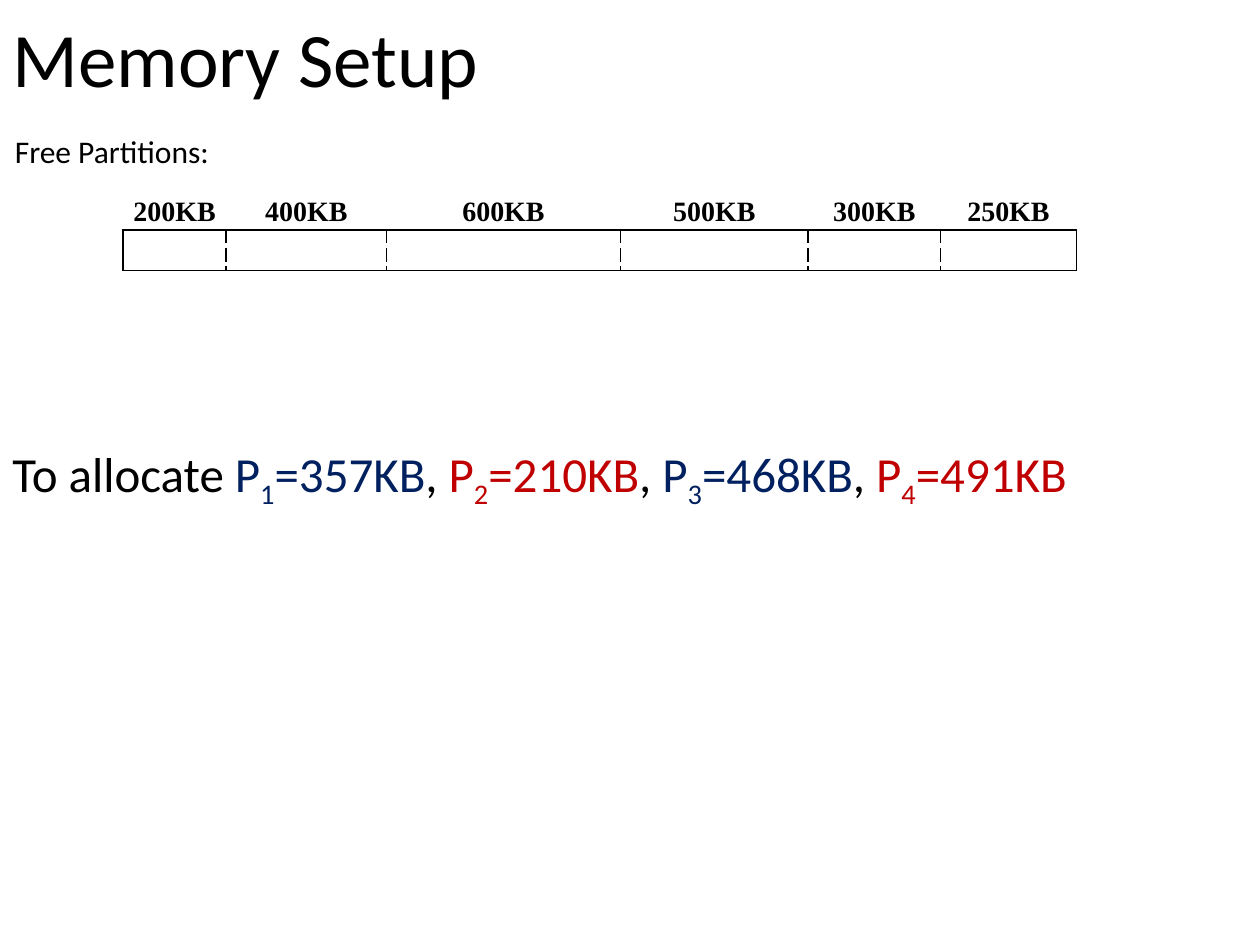
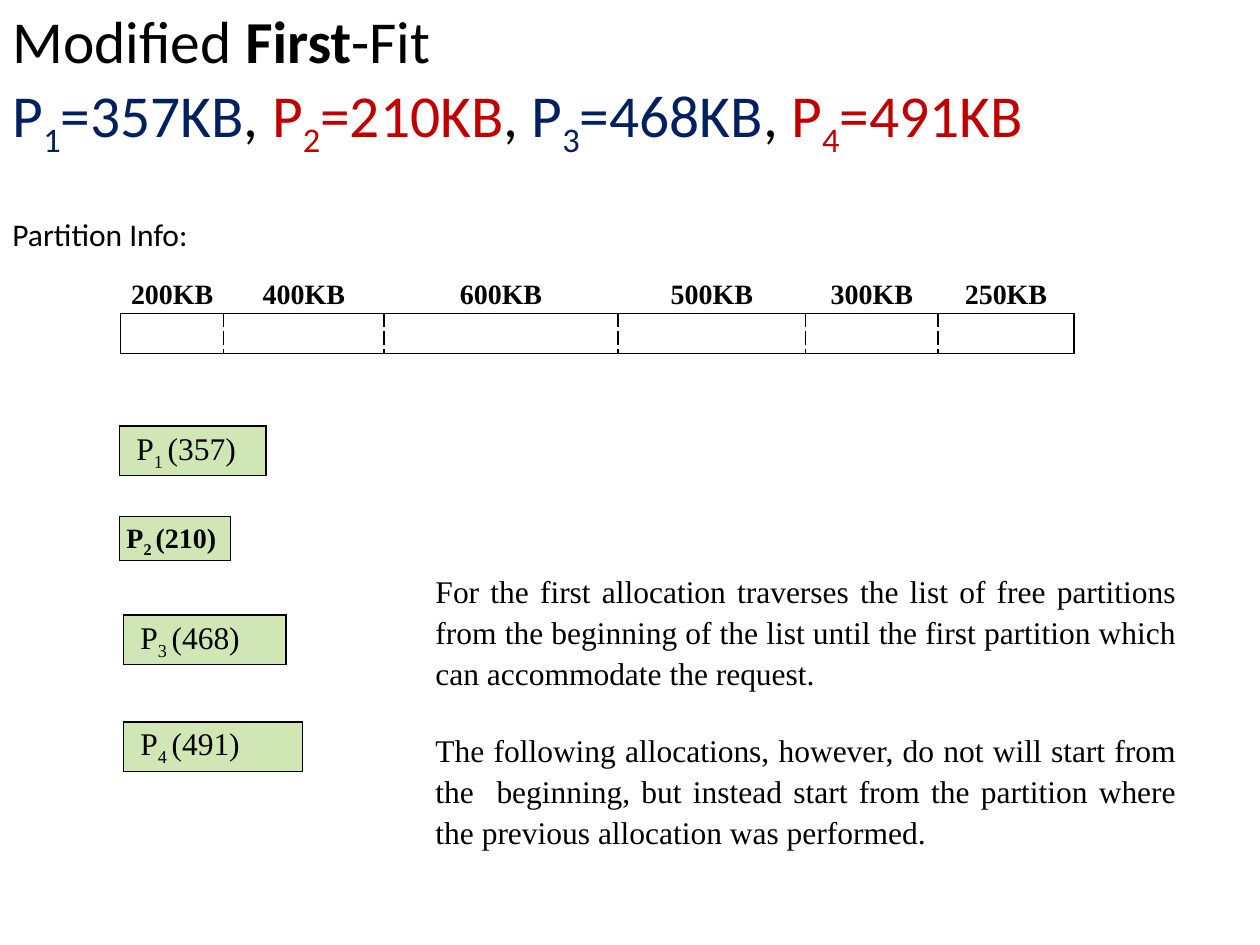
from dataclasses import dataclass

from lxml import etree
from pptx import Presentation
from pptx import util as u
from pptx.dml.color import RGBColor
from pptx.enum import text
from pptx.oxml import ns


@dataclass(frozen=True)
class Theme:
    ink: str = "000000"
    navy: str = "002060"
    red: str = "C00000"
    green: str = "D1E6B5"
    sans: str = "Calibri"
    serif: str = "Times New Roman"
    title: int = 44
    long_title: int = 34
    request: int = 28
    body: int = 18
    small: int = 16
    border: int = 1
    plain_table: str = "{2D5ABB26-0587-4C30-8999-92F81FD0307C}"


@dataclass(frozen=True)
class Box:
    left: float
    top: float
    width: float
    height: float

    def inside(self, left, top, width, height):
        return Box(self.left + left, self.top + top, width, height)

    def lengths(self):
        return [u.Cm(side) for side in (self.left, self.top, self.width, self.height)]


THEME = Theme()
PARTITIONS = [("200KB", 2.08), ("400KB", 3.23), ("600KB", 4.72),
              ("500KB", 3.78), ("300KB", 2.67), ("250KB", 2.74)]
PARTITION_ROWS = (0.75, 0.81)
PROCESSES = [357, 210, 468, 491]
PROCESS_BOXES = [Box(0, 0, 2.95, 1), Box(0, 1.82, 2.24, 0.89),
                 Box(0.08, 3.81, 3.28, 1), Box(0.08, 5.96, 3.61, 1)]
ALLOCATION_RULES = [
    "For the first allocation traverses the list of free partitions from the "
    "beginning of the list until the first partition which can accommodate the request.",
    "The following allocations, however, do not will start from the  beginning, but "
    "instead start from the partition where the previous allocation was performed.",
]


def style(para, size, face, bold=False):
    para.font.size = u.Pt(size)
    para.font.name = face
    para.font.bold = bold
    para.font.color.rgb = RGBColor.from_string(THEME.ink)


def add_span(para, words, color=None, subscript=False, bold=None):
    span = para.add_run()
    span.text = words
    span.font.bold = bold
    if color:
        span.font.color.rgb = RGBColor.from_string(color)
    if subscript:
        span._r.get_or_add_rPr().set("baseline", "-25000")


def add_requests(para):
    for number, size in enumerate(PROCESSES, 1):
        color = THEME.navy if number % 2 else THEME.red
        if number > 1:
            add_span(para, ", ")
        add_span(para, "P", color)
        add_span(para, str(number), color, subscript=True)
        add_span(para, f"={size}KB", color)


def add_title(page, box, size, spacing):
    title = page.shapes.title
    title.left, title.top, title.width, title.height = box.lengths()
    frame = title.text_frame
    frame.auto_size = text.MSO_AUTO_SIZE.NONE
    frame.vertical_anchor = text.MSO_ANCHOR.MIDDLE
    para = frame.paragraphs[0]
    para.alignment = text.PP_ALIGN.LEFT
    para.line_spacing = spacing
    style(para, size, THEME.sans)
    return para


def add_text(page, box):
    frame = page.shapes.add_textbox(*box.lengths()).text_frame
    frame.word_wrap = True
    return frame


def add_plain_table(page, box, widths, heights):
    table = page.shapes.add_table(len(heights), len(widths), *box.lengths()).table
    table.first_row = table.horz_banding = False
    table._tbl.tblPr.find(ns.qn("a:tableStyleId")).text = THEME.plain_table
    for column, width in zip(table.columns, widths):
        column.width = u.Cm(width)
    for row, height in zip(table.rows, heights):
        row.height = u.Cm(height)
    for cell in table.iter_cells():
        cell.margin_left = cell.margin_right = u.Cm(0.18)
        cell.margin_top = cell.margin_bottom = 0
        cell.fill.background()
    return table


def draw_borders(cell, **dashes):
    props = cell._tc.get_or_add_tcPr()
    sides = [side for side in "LRTB" if side in dashes]
    for position, side in enumerate(sides):
        line = etree.Element(ns.qn(f"a:ln{side}"), w=str(u.Pt(THEME.border)))
        fill = etree.SubElement(line, ns.qn("a:solidFill"))
        etree.SubElement(fill, ns.qn("a:srgbClr"), val=THEME.ink)
        etree.SubElement(line, ns.qn("a:prstDash"), val=dashes[side])
        props.insert(position, line)


def add_partition_map(page, box, heading):
    para = add_text(page, box.inside(0, 0, 13.89, 1.02)).paragraphs[0]
    add_span(para, heading)
    style(para, THEME.body, THEME.sans)

    widths = [width for _, width in PARTITIONS]
    table_box = box.inside(2.43, 1.32, sum(widths), sum(PARTITION_ROWS))
    table = add_plain_table(page, table_box, widths, PARTITION_ROWS)
    last = len(PARTITIONS) - 1
    for index, (size, _) in enumerate(PARTITIONS):
        label, block = table.cell(0, index), table.cell(1, index)
        label.text = size
        para = label.text_frame.paragraphs[0]
        para.alignment = text.PP_ALIGN.CENTER
        para.line_spacing = 1.15
        style(para, THEME.small, THEME.serif, bold=True)
        style(block.text_frame.paragraphs[0], THEME.small, THEME.serif)
        draw_borders(label, B="solid")
        draw_borders(block, T="solid", B="solid",
                     L="solid" if index == 0 else "dash",
                     R="solid" if index == last else "dash")


def add_process(page, box, number, size, compact):
    cell = add_plain_table(page, box, [box.width], [box.height]).cell(0, 0)
    cell.margin_left = u.Cm(0.14 if compact else 0.34)
    cell.margin_right = 0
    if compact:
        cell.vertical_anchor = text.MSO_ANCHOR.MIDDLE
    cell.fill.solid()
    cell.fill.fore_color.rgb = RGBColor.from_string(THEME.green)
    draw_borders(cell, **dict.fromkeys("LRTB", "solid"))
    para = cell.text_frame.paragraphs[0]
    para.line_spacing = 1.15
    add_span(para, "P")
    add_span(para, f"{number} ", subscript=True)
    add_span(para, f"({size})")
    style(para, THEME.small if compact else THEME.body, THEME.serif, bold=compact)


def add_processes(page, box):
    smallest = min(PROCESSES)
    for number, (size, place) in enumerate(zip(PROCESSES, PROCESS_BOXES), 1):
        spot = box.inside(place.left, place.top, place.width, place.height)
        add_process(page, spot, number, size, compact=size == smallest)


def add_allocation_rules(page, box):
    frame = add_text(page, box)
    for index, rule in enumerate(ALLOCATION_RULES):
        para = frame.add_paragraph() if index else frame.paragraphs[0]
        add_span(para, rule)
        para.alignment = text.PP_ALIGN.JUSTIFY
        para.line_spacing = 1.08
        if index:
            para.space_before = u.Pt(21)
        style(para, THEME.body, THEME.serif)


def memory_setup(page):
    add_span(add_title(page, Box(0, -0.05, 25.4, 2.64), THEME.title, 0.9), "Memory Setup")
    add_partition_map(page, Box(0.05, 2.54, 21.7, 2.9), "Free Partitions:")
    para = add_text(page, Box(0, 8.81, 22.78, 1.45)).paragraphs[0]
    add_span(para, "To allocate ")
    add_requests(para)
    style(para, THEME.request, THEME.sans)


def modified_first_fit(page):
    para = add_title(page, Box(0, -0.05, 25.4, 3.43), THEME.long_title, 0.98)
    add_span(para, "Modified ")
    add_span(para, "First", bold=True)
    add_span(para, "-Fit")
    para.add_line_break()
    add_requests(para)
    add_partition_map(page, Box(0, 4.22, 21.7, 2.9), "Partition Info:")
    add_processes(page, Box(2.41, 8.59, 3.69, 6.96))
    add_allocation_rules(page, Box(8.53, 11.35, 15.44, 5.79))


def main():
    deck = Presentation()
    deck.slide_width, deck.slide_height = u.Cm(25.4), u.Cm(19.05)
    title_only = deck.slide_layouts.get_by_name("Title Only")
    for build in (memory_setup, modified_first_fit):
        build(deck.slides.add_slide(title_only))
    deck.save("out.pptx")


if __name__ == "__main__":
    main()
